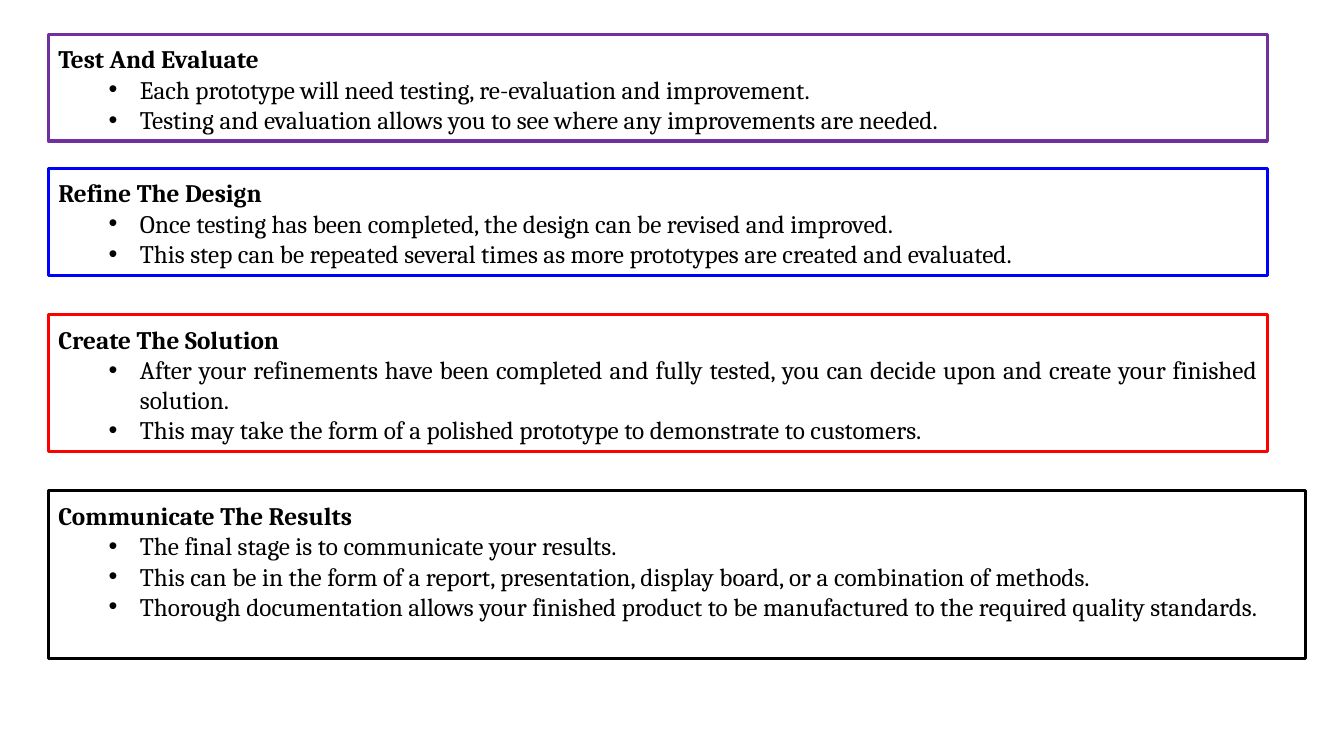
from lxml.etree import SubElement
from pptx import Presentation
from pptx.dml.color import RGBColor
from pptx.enum.shapes import MSO_SHAPE as Shape
from pptx.enum.text import MSO_ANCHOR as Anchor, MSO_AUTO_SIZE as AutoSize, PP_ALIGN as Align
from pptx.oxml.ns import qn
from pptx.util import Inches, Pt

PURPLE = RGBColor(0x70, 0x30, 0xA0)
BLUE = RGBColor(0x00, 0x00, 0xFF)
RED = RGBColor(0xFF, 0x00, 0x00)
BLACK = RGBColor(0x00, 0x00, 0x00)

LEFT = 0.48
BULLET_MARGIN, BULLET_HANG = 0.81, -0.31

# Each step: top, width, height, border colour, heading, points
STEPS = [
    (0.34, 12.09, 1.06, PURPLE, "Test And Evaluate", [
        "Each prototype will need testing, re-evaluation and improvement.",
        "Testing and evaluation allows you to see where any improvements are needed.",
    ]),
    (1.67, 12.09, 1.06, BLUE, "Refine The Design", [
        "Once testing has been completed, the design can be revised and improved.",
        "This step can be repeated several times as more prototypes are created and evaluated.",
    ]),
    (3.12, 12.09, 1.36, RED, "Create The Solution", [
        "After your refinements have been completed and fully tested, "
        "you can decide upon and create your finished solution.",
        "This may take the form of a polished prototype to demonstrate to customers.",
    ]),
    (4.87, 12.47, 1.66, BLACK, "Communicate The Results", [
        "The final stage is to communicate your results.",
        "This can be in the form of a report, presentation, display board, "
        "or a combination of methods.",
        "Thorough documentation allows your finished product to be manufactured "
        "to the required quality standards.",
    ]),
]


def write_text(paragraph, text, bold=False):
    paragraph.text = text
    paragraph.alignment = Align.JUSTIFY
    font = paragraph.font
    font.name = "Cambria"
    font.size = Pt(18)
    font.bold = bold
    font.color.rgb = BLACK


def add_bullet(paragraph):
    paragraph.level = 1
    properties = paragraph._p.get_or_add_pPr()
    properties.set("marL", str(Inches(BULLET_MARGIN)))
    properties.set("indent", str(Inches(BULLET_HANG)))
    SubElement(properties, qn("a:buFont")).set("typeface", "Arial")
    SubElement(properties, qn("a:buChar")).set("char", "•")
    # Default run properties must follow the bullet in the schema order
    properties.append(properties.find(qn("a:defRPr")))


def add_step(slide, left, top, width, height, color, heading, points):
    # Outlined box
    box = slide.shapes.add_shape(
        Shape.RECTANGLE, Inches(left), Inches(top), Inches(width), Inches(height))
    box.shadow.inherit = False
    box.fill.background()
    box.line.color.rgb = color
    box.line.width = Pt(2.25)

    # Heading
    frame = box.text_frame
    frame.word_wrap = True
    frame.auto_size = AutoSize.NONE
    frame.vertical_anchor = Anchor.TOP
    title = frame.paragraphs[0]
    write_text(title, heading, bold=True)
    title.line_spacing = 1.15
    title.space_before = Pt(10)

    # Bulleted points
    for point in points:
        paragraph = frame.add_paragraph()
        write_text(paragraph, point)
        add_bullet(paragraph)


def main():
    presentation = Presentation()
    presentation.slide_width = Inches(13.33)
    presentation.slide_height = Inches(7.5)
    slide = presentation.slides.add_slide(presentation.slide_layouts[6])
    for step in STEPS:
        add_step(slide, LEFT, *step)
    presentation.save("out.pptx")


if __name__ == "__main__":
    main()
